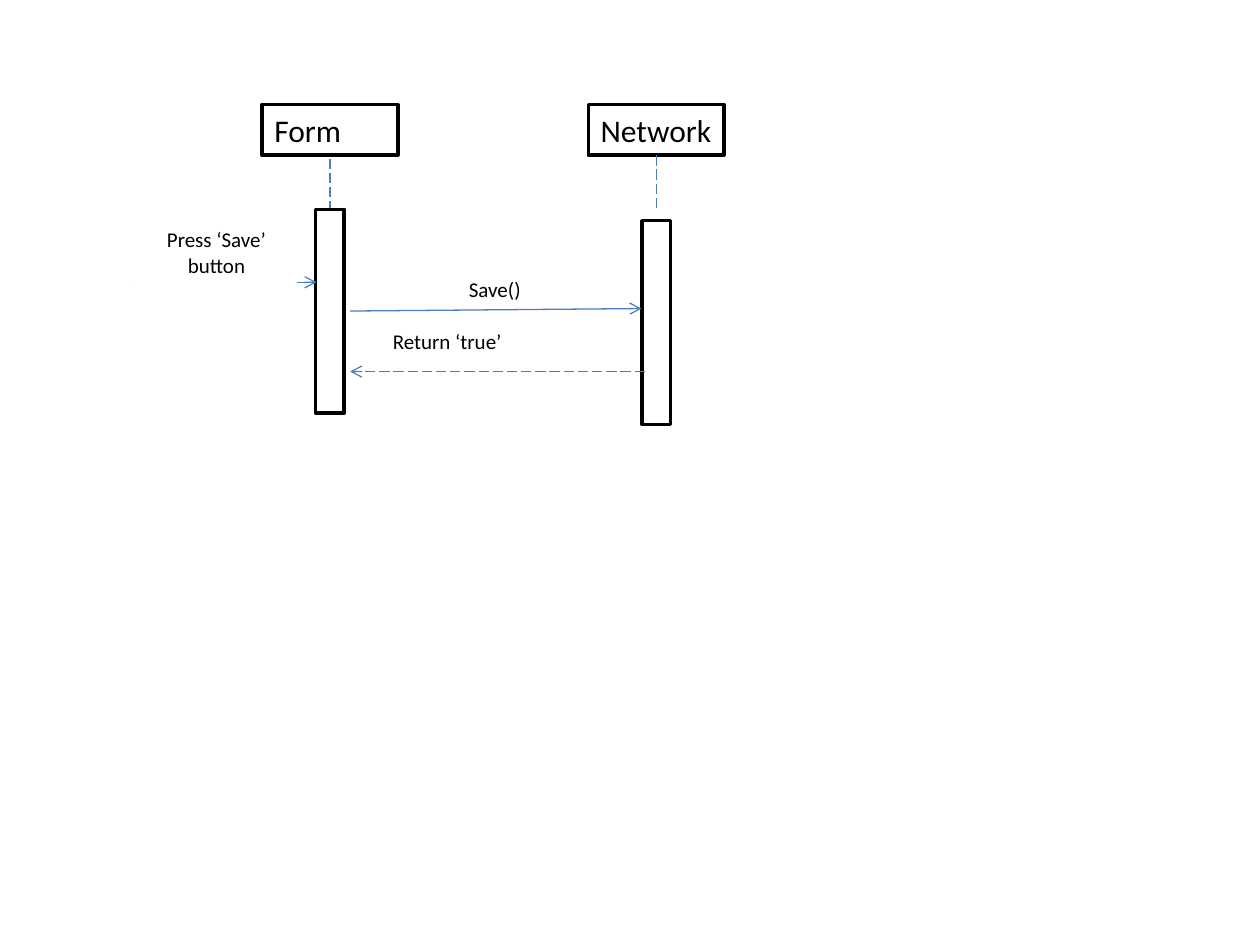
from pptx import Presentation
from pptx.dml.color import RGBColor
from pptx.enum.dml import MSO_LINE
from pptx.enum.shapes import MSO_CONNECTOR, MSO_SHAPE
from pptx.enum.text import MSO_ANCHOR, MSO_AUTO_SIZE, PP_ALIGN
from pptx.oxml.ns import qn
from pptx.util import Cm, Pt
from lxml.etree import SubElement

COLORS = {"ink": "000000", "paper": "FFFFFF", "arrow": "4B7EBC"}
FONT = "Calibri"
HEAD_W, HEAD_H = 2.74, 1.02
BAR_W, BAR_H = 0.58, 4.11


def rgb(name):
    return RGBColor.from_string(COLORS[name])


def add_box(slide, left, top, width, height, outlined=True):
    s = slide.shapes.add_shape(MSO_SHAPE.RECTANGLE, Cm(left), Cm(top), Cm(width), Cm(height))
    s.shadow.inherit = False
    s.fill.solid()
    s.fill.fore_color.rgb = rgb("paper")
    if outlined:
        s.line.color.rgb = rgb("ink")
        s.line.width = Pt(2)
    else:
        s.line.fill.background()
    return s


def set_text(s, text, size, align):
    tf = s.text_frame
    tf.text = text
    tf.word_wrap = True
    tf.auto_size = MSO_AUTO_SIZE.SHAPE_TO_FIT_TEXT
    tf.vertical_anchor = MSO_ANCHOR.TOP
    p = tf.paragraphs[0]
    p.alignment = align
    r = p.runs[0]
    r.font.name = FONT
    r.font.size = Pt(size)
    r.font.color.rgb = rgb("ink")


def add_line(slide, x1, y1, x2, y2, dashed=False, arrow=False):
    c = slide.shapes.add_connector(MSO_CONNECTOR.STRAIGHT, Cm(x1), Cm(y1), Cm(x2), Cm(y2))
    c.line.color.rgb = rgb("arrow")
    c.line.width = Pt(0.75)
    if dashed:
        c.line.dash_style = MSO_LINE.LONG_DASH
    if arrow:
        SubElement(c.line._get_or_add_ln(), qn("a:tailEnd"), type="arrow")
    SubElement(c._element.spPr, qn("a:effectLst"))
    return c


def add_participant(slide, left, top, name, line_span, bar_top):
    """Header, dashed lifeline and activation bar; vertical values count from top."""
    header = add_box(slide, left, top, HEAD_W, HEAD_H)
    set_text(header, name, 18, PP_ALIGN.LEFT)
    center = left + HEAD_W / 2
    start, end = line_span
    lifeline = add_line(slide, center, top + start, center, top + end, dashed=True)
    bar = add_box(slide, center - BAR_W / 2, top + bar_top, BAR_W, BAR_H)
    if start == HEAD_H:
        lifeline.begin_connect(header, 2)
    if end == bar_top:
        lifeline.end_connect(bar, 0)


def add_message(slide, arrow, label, text, dashed=False, align=PP_ALIGN.CENTER):
    add_line(slide, *arrow, dashed=dashed, arrow=True)
    set_text(add_box(slide, *label, outlined=False), text, 12, align)


def main():
    prs = Presentation()
    prs.slide_width, prs.slide_height = Cm(25.4), Cm(19.05)
    slide = prs.slides.add_slide(prs.slide_layouts[6])

    add_participant(slide, 5.28, 2.11, "Form", (1.09, 2.11), 2.11)
    add_participant(slide, 11.86, 2.11, "Network", (HEAD_H, 2.08), 2.34)

    add_message(slide, (2.74, 5.69, 6.38, 5.69), (2.74, 4.45, 3.25, 1.27), "Press ‘Save’ button")
    add_message(slide, (7.06, 6.27, 12.93, 6.22), (9.19, 5.46, 1.57, 0.76), "Save()")
    add_message(slide, (13.0, 7.49, 7.06, 7.49), (7.67, 6.5, 4.7, 0.76), "Return ‘true’",
                dashed=True, align=PP_ALIGN.LEFT)

    prs.save("out.pptx")


if __name__ == "__main__":
    main()
